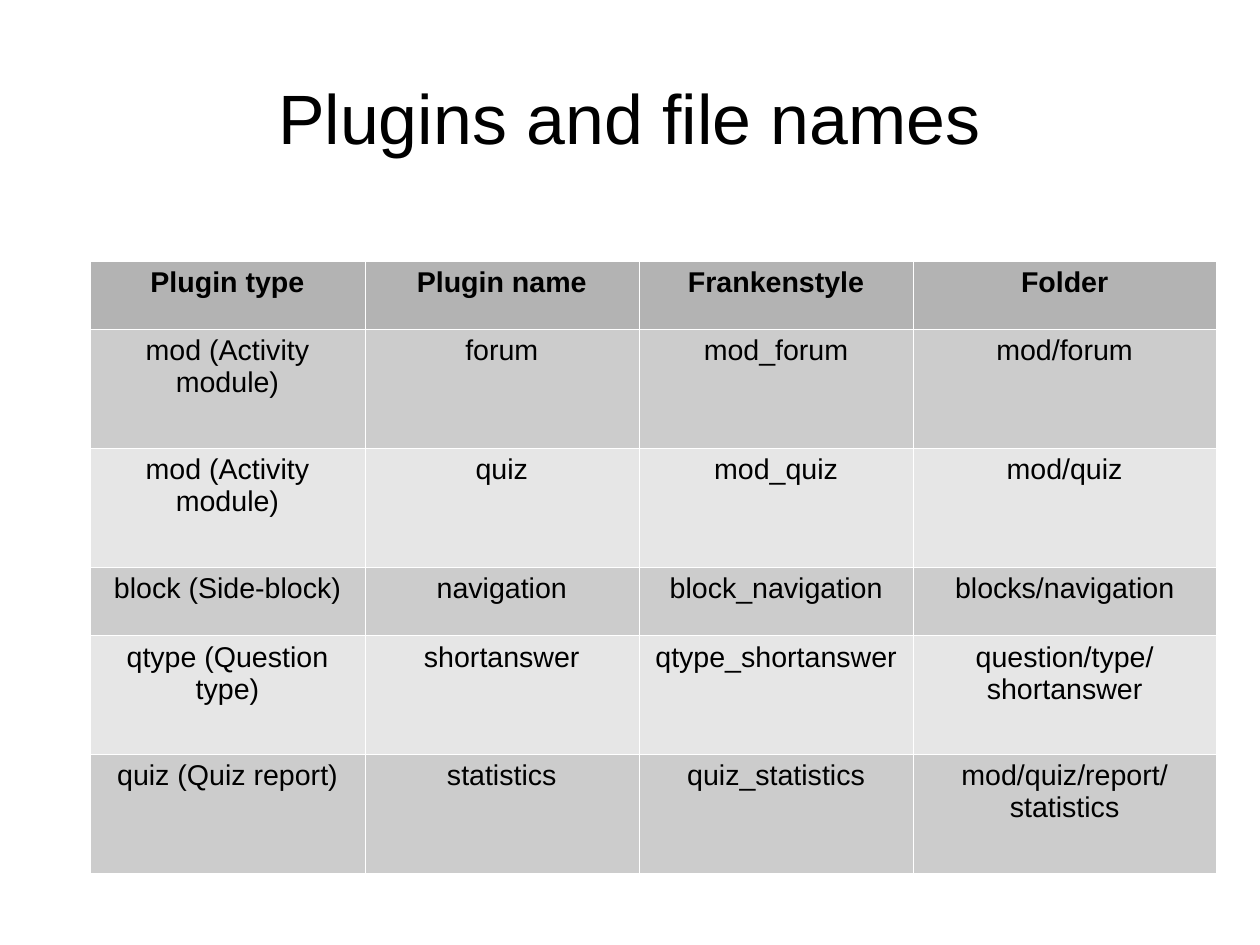
from lxml import etree
from pptx import Presentation
from pptx.dml.color import RGBColor
from pptx.enum.text import MSO_ANCHOR, PP_ALIGN
from pptx.oxml.ns import qn
from pptx.util import Inches, Pt

CENTER = PP_ALIGN.CENTER
MIDDLE = MSO_ANCHOR.MIDDLE

SLIDE_SIZE = (793.75, 595.25)  # points
TITLE_BOX = (0.55, 0.33, 9.92, 1.38)
TABLE_BOX = (0.79, 2.28, 9.84, 5.37)
COL_WIDTHS = [2.4, 2.4, 2.4, 2.65]
SHORT_ROW, TALL_ROW = 0.6, 1.04
ROW_HEIGHTS = [SHORT_ROW, TALL_ROW, TALL_ROW, SHORT_ROW, TALL_ROW, TALL_ROW]

HEADER_FILL = "B3B3B3"
BAND_FILLS = ["CCCCCC", "E6E6E6"]
BORDER = {"color": "FFFFFF", "width": Pt(0.06)}
TITLE_FONT = {"name": "Arial", "size": Pt(44), "bold": False}
HEADER_FONT = {"name": "Arial", "size": Pt(18), "bold": True}
BODY_FONT = {**HEADER_FONT, "bold": False}

PLUGINS = [
    ["Plugin type", "Plugin name", "Frankenstyle", "Folder"],
    ["mod (Activity module)", "forum", "mod_forum", "mod/forum"],
    ["mod (Activity module)", "quiz", "mod_quiz", "mod/quiz"],
    ["block (Side-block)", "navigation", "block_navigation", "blocks/navigation"],
    ["qtype (Question type)", "shortanswer", "qtype_shortanswer",
     "question/type/shortanswer"],
    ["quiz (Quiz report)", "statistics", "quiz_statistics",
     "mod/quiz/report/statistics"],
]


def rgb(value):
    return RGBColor.from_string(value)


def write_centered(tf, text, font):
    p = tf.paragraphs[0]
    p.alignment = CENTER
    r = p.add_run()
    r.text = text
    for name, value in font.items():
        setattr(r.font, name, value)
    r.font.color.rgb = rgb("000000")


def set_borders(cell):
    tc_pr = cell._tc.get_or_add_tcPr()
    for i, side in enumerate(("a:lnL", "a:lnR", "a:lnT", "a:lnB")):
        ln = etree.Element(qn(side), w=str(int(BORDER["width"])))
        fill = etree.SubElement(ln, qn("a:solidFill"))
        etree.SubElement(fill, qn("a:srgbClr"), val=BORDER["color"])
        tc_pr.insert(i, ln)


def add_title(slide, box, text):
    tf = slide.shapes.add_textbox(*map(Inches, box)).text_frame
    frame = {"word_wrap": True, "vertical_anchor": MIDDLE, "margin_left": 0,
             "margin_right": 0, "margin_top": 0, "margin_bottom": 0}
    for name, value in frame.items():
        setattr(tf, name, value)
    write_centered(tf, text, TITLE_FONT)


def add_plugin_table(slide, box, rows):
    frame = slide.shapes.add_table(len(rows), len(rows[0]), *map(Inches, box))
    table = frame.table
    for col, width in zip(table.columns, COL_WIDTHS):
        col.width = Inches(width)
    for i, (row, height) in enumerate(zip(table.rows, ROW_HEIGHTS)):
        row.height = Inches(height)
        fill = BAND_FILLS[(i - 1) % 2] if i else HEADER_FILL
        for cell, text in zip(row.cells, rows[i]):
            cell.fill.solid()
            cell.fill.fore_color.rgb = rgb(fill)
            set_borders(cell)
            write_centered(cell.text_frame, text, BODY_FONT if i else HEADER_FONT)
    frame.width, frame.height = map(Inches, box[2:])


def main():
    prs = Presentation()
    prs.slide_width, prs.slide_height = map(Pt, SLIDE_SIZE)
    slide = prs.slides.add_slide(prs.slide_layouts[6])
    add_title(slide, TITLE_BOX, "Plugins and file names")
    add_plugin_table(slide, TABLE_BOX, PLUGINS)
    prs.save("out.pptx")


if __name__ == "__main__":
    main()
